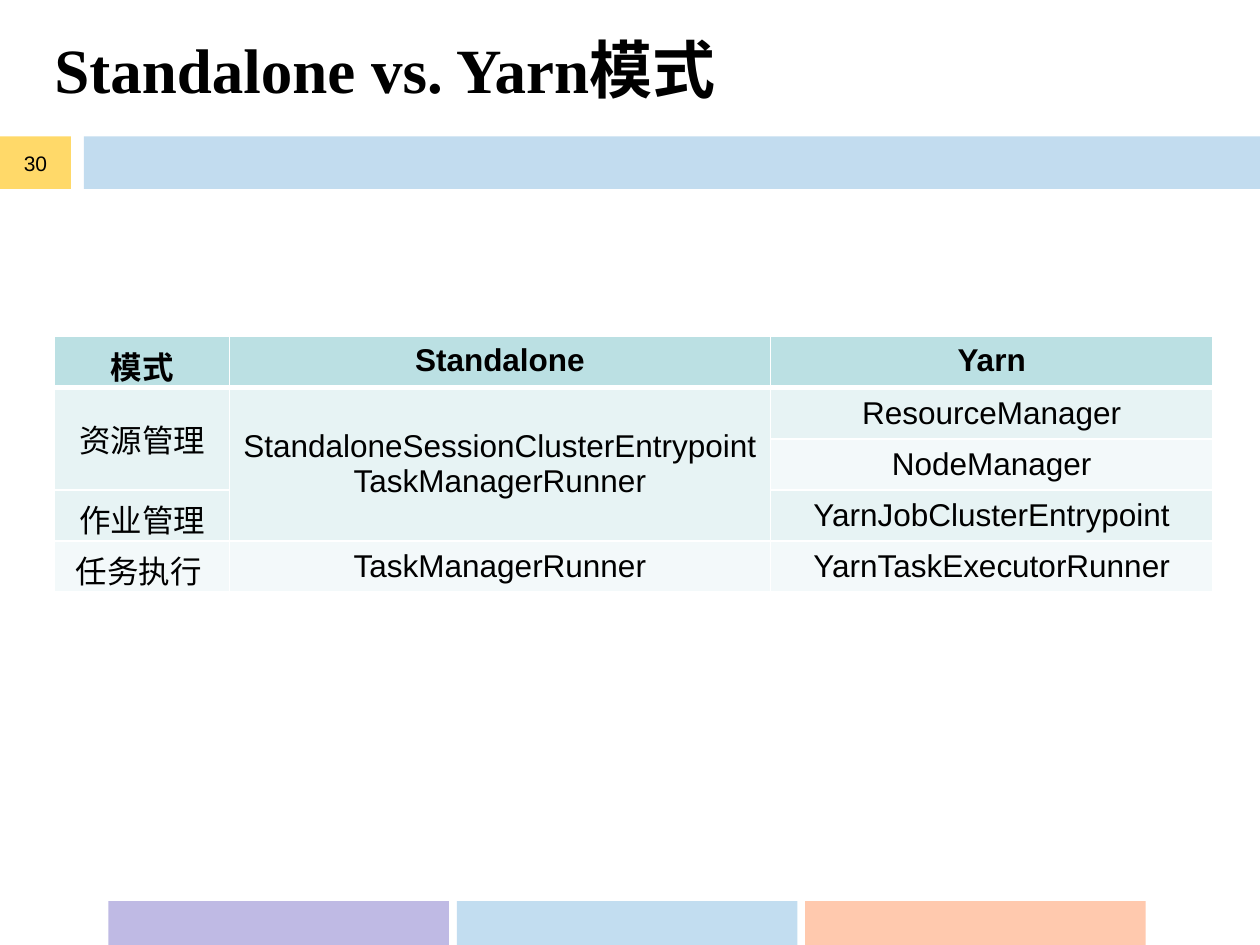
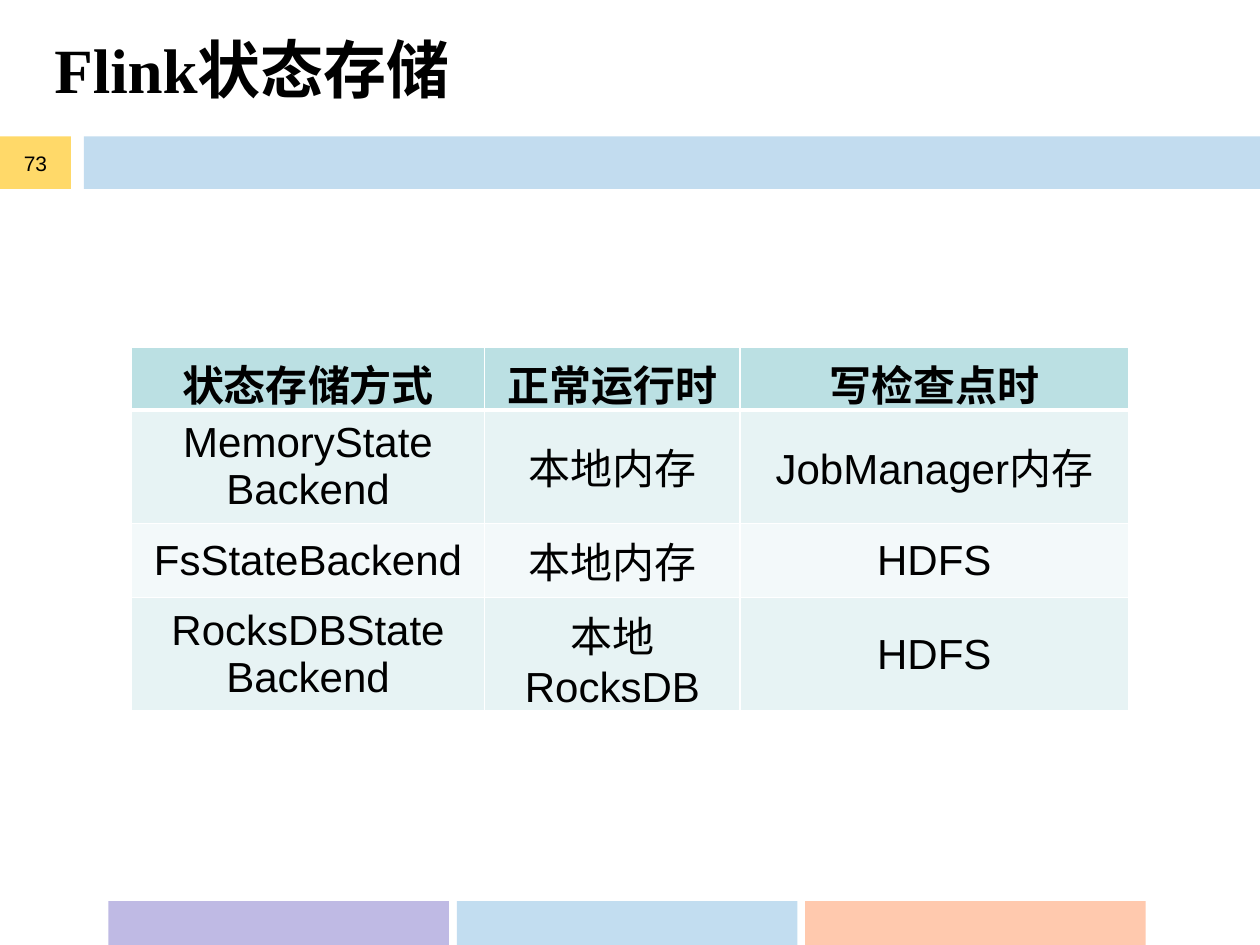
from lxml.etree import SubElement
from pptx import Presentation
from pptx.dml.color import RGBColor
from pptx.enum.shapes import MSO_SHAPE as Shape
from pptx.enum.text import MSO_ANCHOR as Anchor, PP_ALIGN as Align
from pptx.oxml.ns import qn
from pptx.util import Pt

BLACK = RGBColor(0x00, 0x00, 0x00)
WHITE = RGBColor(0xFF, 0xFF, 0xFF)
LILAC = RGBColor(0xBF, 0xBA, 0xE4)
PALE_BLUE = RGBColor(0xC2, 0xDD, 0xF0)
ORANGE = RGBColor(0xFF, 0x99, 0x66)
BLUE = RGBColor(0x00, 0x70, 0xC0)
GOLD = RGBColor(0xFF, 0xC0, 0x00)
HEADER_FILL = RGBColor(0xBB, 0xE0, 0xE3)
ROW_FILLS = (RGBColor(0xF3, 0xF9, 0xFA), RGBColor(0xE7, 0xF3, 0xF4))

TITLE_FONT = {"name": "Times New Roman", "size": Pt(36), "bold": True}
NUMBER_FONT = {"name": "Arial", "size": Pt(12), "bold": False}

FOOTER_BLOCKS = ((LILAC, 100), (PALE_BLUE, 100), (ORANGE, 53))
FOOTER_LEFT, FOOTER_WIDTH, FOOTER_STEP = 62, 194.6, 199.05
BAND_TOP, BAND_HEIGHT = 78, 30

MODE_ROWS = (
    ("模式", "Standalone", "Yarn"),
    ("资源管理", "StandaloneSessionClusterEntrypoint\nTaskManagerRunner", "ResourceManager"),
    ("", "", "NodeManager"),
    ("作业管理", "", "YarnJobClusterEntrypoint"),
    ("任务执行 ", "TaskManagerRunner", "YarnTaskExecutorRunner"),
)
MODE_MERGES = (((1, 0), (2, 0)), ((1, 1), (3, 1)))

STORAGE_ROWS = (
    ("状态存储方式", "正常运行时", "写检查点时"),
    ("MemoryState\nBackend", "本地内存", "JobManager内存"),
    ("FsStateBackend", "本地内存", "HDFS"),
    ("RocksDBState\nBackend", "本地RocksDB", "HDFS"),
)


def write_text(frame, text, font, align):
    """Fill a text frame, one paragraph per line, in one format."""
    frame.text = text
    for paragraph in frame.paragraphs:
        paragraph.alignment = align
        paragraph.font.color.rgb = BLACK
        for run in paragraph.runs:
            run.font.color.rgb = BLACK
            for name, value in font.items():
                setattr(run.font, name, value)


def add_block(slide, left, top, width, height, color, opacity=100):
    """Add a plain rectangle, see-through below 100 percent opacity."""
    block = slide.shapes.add_shape(
        Shape.RECTANGLE, Pt(left), Pt(top), Pt(width), Pt(height))
    block.shadow.inherit = False
    block.fill.solid()
    block.fill.fore_color.rgb = color
    block.line.fill.background()
    if opacity < 100:
        color_element = block._element.spPr.find(".//" + qn("a:srgbClr"))
        SubElement(color_element, qn("a:alpha"), val=str(opacity * 1000))
    return block


def add_title(slide, text):
    """Add the slide title above the band."""
    box = slide.shapes.add_textbox(Pt(24), Pt(-6), Pt(676), Pt(90))
    box.text_frame.word_wrap = True
    box.text_frame.vertical_anchor = Anchor.MIDDLE
    write_text(box.text_frame, text, TITLE_FONT, Align.LEFT)


def add_page_number(slide, number):
    """Add the gold number block at the left of the band."""
    block = add_block(slide, 0, BAND_TOP, 40.5, BAND_HEIGHT, GOLD, 59)
    frame = block.text_frame
    frame.margin_left = frame.margin_right = 0
    frame.vertical_anchor = Anchor.MIDDLE
    write_text(frame, str(number), NUMBER_FONT, Align.CENTER)


def add_framed_slide(presentation, title, number):
    """Add a blank slide with footer blocks, band, title and number."""
    slide = presentation.slides.add_slide(presentation.slide_layouts[6])
    for index, (color, opacity) in enumerate(FOOTER_BLOCKS):
        left = FOOTER_LEFT + index * FOOTER_STEP
        add_block(slide, left, 515, FOOTER_WIDTH, 26, color, opacity)
    add_block(slide, 48, BAND_TOP, 672, BAND_HEIGHT, BLUE, 24)
    add_title(slide, title)
    add_page_number(slide, number)
    return slide


def set_borders(cell, top, bottom):
    """Draw white cell borders with the given top and bottom widths."""
    properties = cell._tc.get_or_add_tcPr()
    widths = {"a:lnL": 1, "a:lnR": 1, "a:lnT": top, "a:lnB": bottom}
    for tag, width in widths.items():
        line = SubElement(properties, qn(tag), w=str(Pt(width)))
        fill = SubElement(line, qn("a:solidFill"))
        SubElement(fill, qn("a:srgbClr"), val=str(WHITE))


def add_grid(slide, left, top, widths, heights, rows, size,
             merges=(), header_anchor=Anchor.MIDDLE):
    """Add a table with a bold header and alternating row fills."""
    table = slide.shapes.add_table(
        len(rows), len(widths), Pt(left), Pt(top),
        Pt(sum(widths)), Pt(sum(heights))).table
    for column, width in zip(table.columns, widths):
        column.width = Pt(width)
    for row, height in zip(table.rows, heights):
        row.height = Pt(height)
    for row_index, texts in enumerate(rows):
        header = row_index == 0
        font = {"name": "Arial", "size": Pt(size), "bold": header}
        for column_index, text in enumerate(texts):
            cell = table.cell(row_index, column_index)
            set_borders(cell, 3 if row_index == 1 else 1, 3 if header else 1)
            cell.fill.solid()
            cell.fill.fore_color.rgb = HEADER_FILL if header else ROW_FILLS[row_index % 2]
            cell.vertical_anchor = header_anchor if header else Anchor.MIDDLE
            write_text(cell.text_frame, text, font, Align.CENTER)
    for first, last in merges:
        table.cell(*first).merge(table.cell(*last))


def main():
    """Build both slides and save them."""
    presentation = Presentation()
    presentation.slide_width, presentation.slide_height = Pt(720), Pt(540)

    modes = add_framed_slide(presentation, "Standalone vs. Yarn模式", 30)
    add_grid(modes, 31.2, 192.4, (100, 309, 253), (29.2,) * 5, MODE_ROWS, 18,
             MODE_MERGES, Anchor.TOP)

    storage = add_framed_slide(presentation, "Flink状态存储", 73)
    add_grid(storage, 75.2, 198.2, (201.6, 146.2, 221.8),
             (32.4, 42.5, 42.5, 42.5), STORAGE_ROWS, 24)

    presentation.save("out.pptx")


if __name__ == "__main__":
    main()
